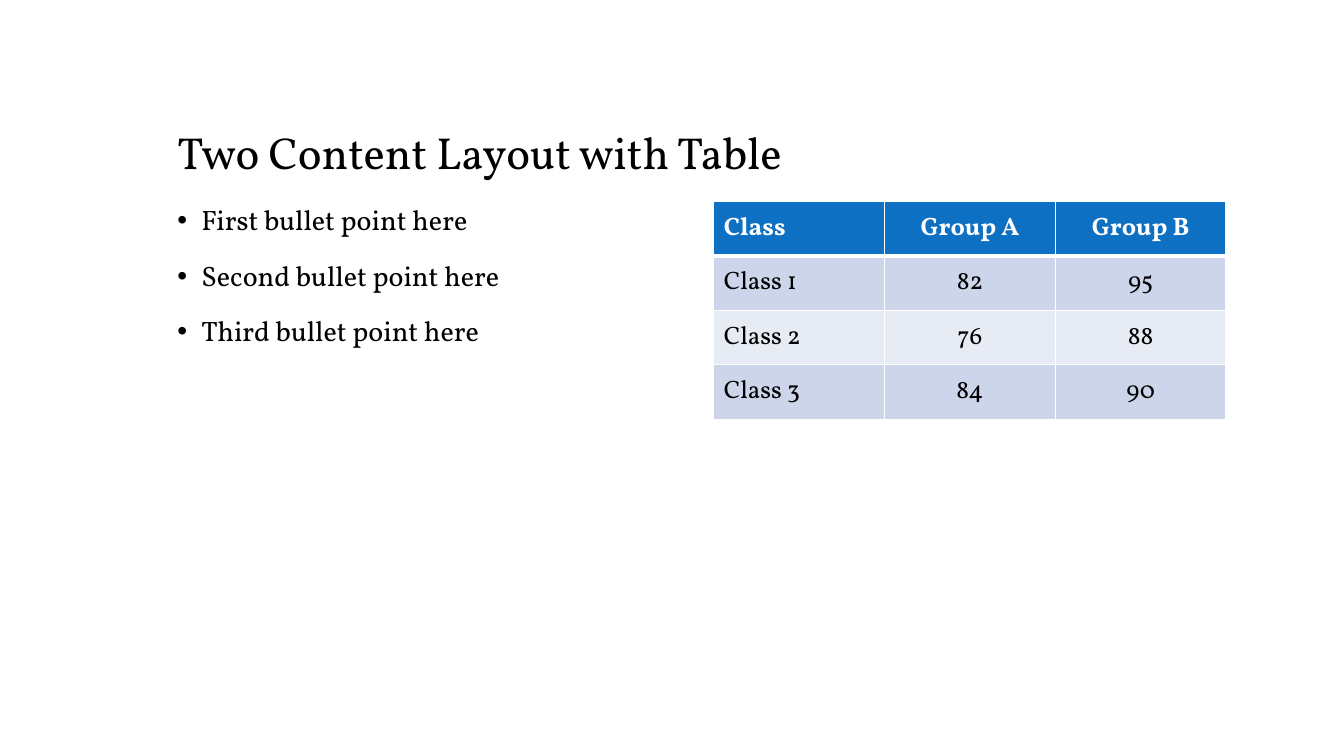
from lxml import etree
from pptx import Presentation
from pptx.dml.color import RGBColor
from pptx.enum.text import MSO_ANCHOR, MSO_AUTO_SIZE, PP_ALIGN
from pptx.oxml.ns import qn
from pptx.util import Inches, Pt

LEFT, CENTER = PP_ALIGN.LEFT, PP_ALIGN.CENTER
MIDDLE, BOTTOM = MSO_ANCHOR.MIDDLE, MSO_ANCHOR.BOTTOM
NO_FIT = MSO_AUTO_SIZE.NONE

TITLE = "Two Content Layout with Table"
POINTS = ["First bullet point here", "Second bullet point here", "Third bullet point here"]
ROWS = [
    ("Class", "Group A", "Group B"),
    ("Class 1", "82", "95"),
    ("Class 2", "76", "88"),
    ("Class 3", "84", "90"),
]
FONT, BLACK, WHITE = "Vollkorn", "000000", "FFFFFF"
HEAD, BANDS = "0E70C2", ("E7EBF4", "CCD5E9")
WIDTH, HEIGHT = 13.33, 7.5
EDGE, TOP, GAP, SPAN = 1.66, 2, 0.34, 10.5
HALF = (SPAN - GAP) / 2
ROW = 0.54
INDENT = 0.24


def color(code):
    return RGBColor.from_string(code)


def style(par, size, code=BLACK, bold=False, **form):
    for name, value in {"name": FONT, "size": Pt(size), "bold": bold}.items():
        setattr(par.font, name, value)
    par.font.color.rgb = color(code)
    for name, value in form.items():
        setattr(par, name, value)


def place(shape, *box):
    for name, value in zip(("left", "top", "width", "height"), box):
        setattr(shape, name, Inches(value))


def bullet(par):
    props = par._p.get_or_add_pPr()
    props.set("marL", str(Inches(INDENT)))
    props.set("indent", str(-Inches(INDENT)))
    etree.SubElement(props, qn("a:buFont")).set("typeface", "Arial")
    etree.SubElement(props, qn("a:buChar")).set("char", "•")


def border(cell, sides):
    props = cell._tc.get_or_add_tcPr()
    for side, width in sides.items():
        line = etree.SubElement(props, qn("a:ln" + side))
        line.set("w", str(Pt(width)))
        fill = etree.SubElement(line, qn("a:solidFill"))
        etree.SubElement(fill, qn("a:srgbClr")).set("val", WHITE)


def add_title(slide):
    title = slide.shapes.title
    place(title, EDGE, 0.58, SPAN, 1.25)
    frame = title.text_frame
    frame.text = TITLE
    form = {"vertical_anchor": BOTTOM, "word_wrap": True, "auto_size": NO_FIT}
    for name, value in form.items():
        setattr(frame, name, value)
    style(frame.paragraphs[0], 32, alignment=LEFT, line_spacing=0.9, space_before=Pt(0))


def add_points(slide):
    box = slide.shapes.add_textbox(0, 0, 0, 0)
    place(box, EDGE, TOP, HALF, 4.58)
    frame = box.text_frame
    frame.word_wrap = True
    frame.text = "\n".join(POINTS)
    for par in frame.paragraphs:
        style(par, 20, line_spacing=0.9, space_before=Pt(18))
        bullet(par)


def add_grid(slide):
    count = len(ROWS)
    frame = slide.shapes.add_table(count, len(ROWS[0]), 0, 0, Inches(HALF), Inches(ROW * count))
    frame.left, frame.top = Inches(EDGE + HALF + GAP), Inches(TOP)
    for r, row in enumerate(ROWS):
        for c, text in enumerate(row):
            cell = frame.table.cell(r, c)
            cell.text = text
            cell.vertical_anchor = MIDDLE
            border(cell, {"L": 1, "R": 1, "T": 3 if r == 1 else 1, "B": 1 if r else 3})
            cell.fill.solid()
            cell.fill.fore_color.rgb = color(BANDS[r % 2] if r else HEAD)
            style(cell.text_frame.paragraphs[0], 18, BLACK if r else WHITE, not r,
                  alignment=CENTER if c else LEFT)


def main():
    deck = Presentation()
    deck.slide_width, deck.slide_height = Inches(WIDTH), Inches(HEIGHT)
    slide = deck.slides.add_slide(deck.slide_layouts[5])
    add_title(slide)
    add_points(slide)
    add_grid(slide)
    deck.save("out.pptx")


if __name__ == "__main__":
    main()
